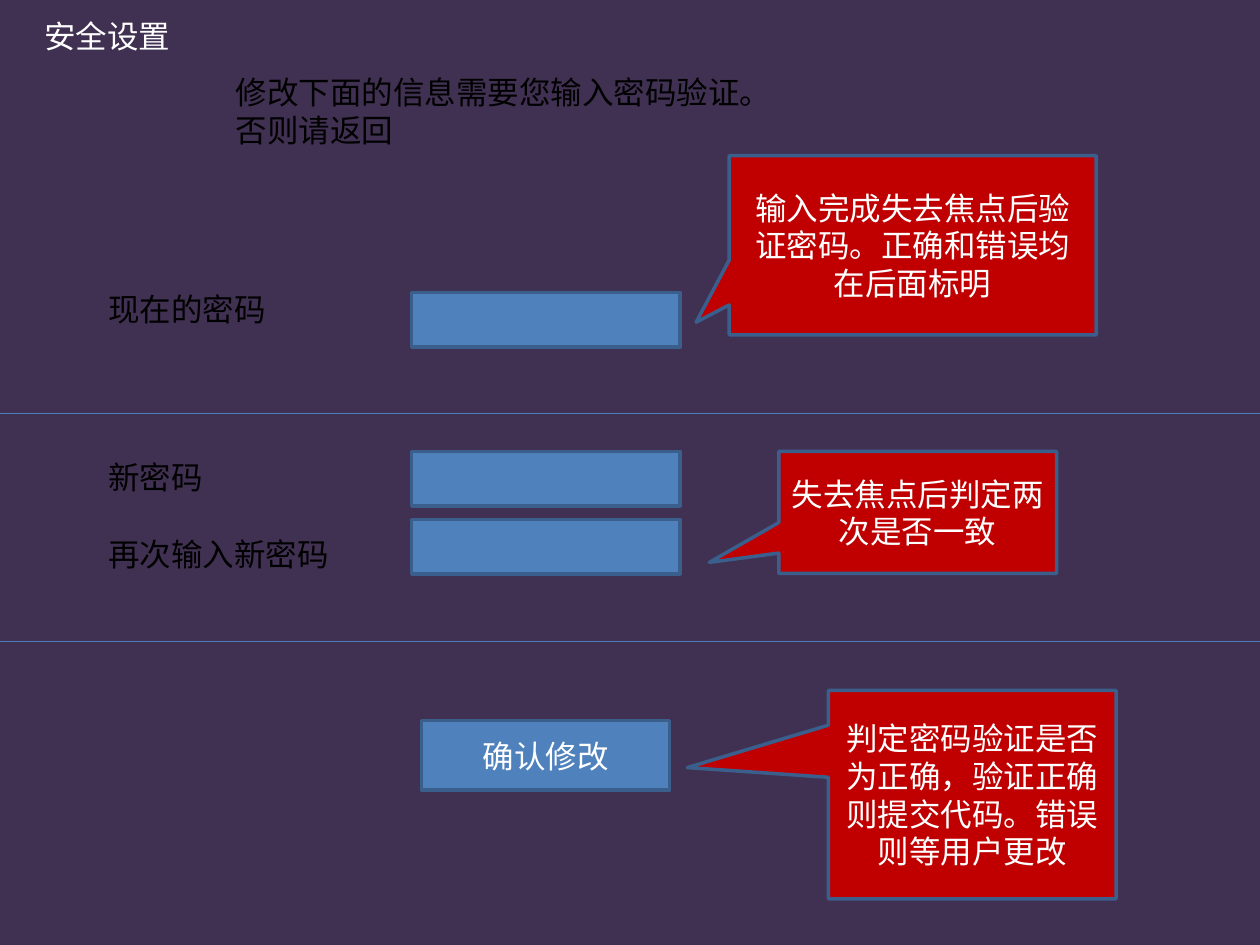
from pptx import Presentation
from pptx.dml.color import RGBColor
from pptx.enum.shapes import MSO_CONNECTOR, MSO_SHAPE
from pptx.enum.text import MSO_ANCHOR, PP_ALIGN
from pptx.oxml.ns import qn
from pptx.util import Cm, Pt
from lxml.etree import SubElement

WIDTH, HEIGHT = 25.4, 19.05
BACKGROUND, BLUE, OUTLINE, RULE, RED = "403152", "4F81BD", "3A5F8C", "4B7EBC", "C00000"
BLACK, WHITE = "000000", "FFFFFF"

TITLE = ("安全设置", 0.03, 0.03, 4.27, 1.37)
INTRO = ("修改下面的信息需要您输入密码验证。否则请返回", 4.5, 1.35, 11.2, 1.8)
LABEL_LEFT, LABEL_HEIGHT = 1.93, 1.02
LABELS = [("现在的密码", 5.72, 3.96), ("新密码", 9.1, 3.96), ("再次输入新密码", 10.66, 5.56)]
FIELD_LEFT, FIELD_WIDTH, FIELD_HEIGHT = 8.3, 5.41, 1.1
FIELD_TOPS = [5.9, 9.1, 10.47]
RULE_TOPS = [8.33, 12.93]
BUTTON = ("确认修改", 8.5, 14.53, 5, 1.4)
CALLOUTS = [
    ("输入完成失去焦点后验证密码。正确和错误均在后面标明", 14.7, 3.14, 7.4, 3.61, (-0.59, 0.43)),
    ("判定密码验证是否为正确，验证正确则提交代码。错误则等用户更改", 16.7, 13.92, 5.8, 4.2, (-0.99, -0.13)),
    ("失去焦点后判定两次是否一致", 15.7, 9.1, 5.6, 2.46, (-0.75, 0.41)),
]


def color(value):
    return RGBColor.from_string(value)


def write(shape, text, ink, centered=False):
    frame = shape.text_frame
    frame.word_wrap = True
    frame.text = text
    frame.vertical_anchor = MSO_ANCHOR.MIDDLE if centered else MSO_ANCHOR.TOP
    para = frame.paragraphs[0]
    para.alignment = PP_ALIGN.CENTER if centered else PP_ALIGN.LEFT
    span = para.runs[0]
    span.font.name = "Calibri"
    span.font.size = Pt(18)
    span.font.color.rgb = color(ink)


def add_text(page, text, left, top, width, height, ink=BLACK, centered=False):
    box = page.shapes.add_textbox(Cm(left), Cm(top), Cm(width), Cm(height))
    write(box, text, ink, centered)


def add_box(page, kind, left, top, width, height, fill, text=None):
    shape = page.shapes.add_shape(kind, Cm(left), Cm(top), Cm(width), Cm(height))
    shape.shadow.inherit = False
    shape.fill.solid()
    shape.fill.fore_color.rgb = color(fill)
    shape.line.color.rgb = color(OUTLINE)
    shape.line.width = Pt(2)
    if text:
        write(shape, text, WHITE, centered=True)
    return shape


def add_rule(page, top):
    rule = page.shapes.add_connector(MSO_CONNECTOR.STRAIGHT, 0, Cm(top), Cm(WIDTH), Cm(top))
    rule.line.color.rgb = color(RULE)
    rule.line.width = Pt(0.75)
    SubElement(rule._element.spPr, qn("a:effectLst"))


def main():
    deck = Presentation()
    deck.slide_width, deck.slide_height = Cm(WIDTH), Cm(HEIGHT)
    page = deck.slides.add_slide(deck.slide_layouts[6])
    page.background.fill.solid()
    page.background.fill.fore_color.rgb = color(BACKGROUND)

    add_text(page, *TITLE, ink=WHITE, centered=True)
    add_text(page, *INTRO)
    for text, top, width in LABELS:
        add_text(page, text, LABEL_LEFT, top, width, LABEL_HEIGHT)
    for top in FIELD_TOPS:
        add_box(page, MSO_SHAPE.RECTANGLE, FIELD_LEFT, top, FIELD_WIDTH, FIELD_HEIGHT, BLUE)
    for top in RULE_TOPS:
        add_rule(page, top)

    text, *place = BUTTON
    add_box(page, MSO_SHAPE.FLOWCHART_PROCESS, *place, BLUE, text)
    for text, *place, tip in CALLOUTS:
        callout = add_box(page, MSO_SHAPE.RECTANGULAR_CALLOUT, *place, RED, text)
        callout.adjustments[0], callout.adjustments[1] = tip

    deck.save("out.pptx")


if __name__ == "__main__":
    main()
